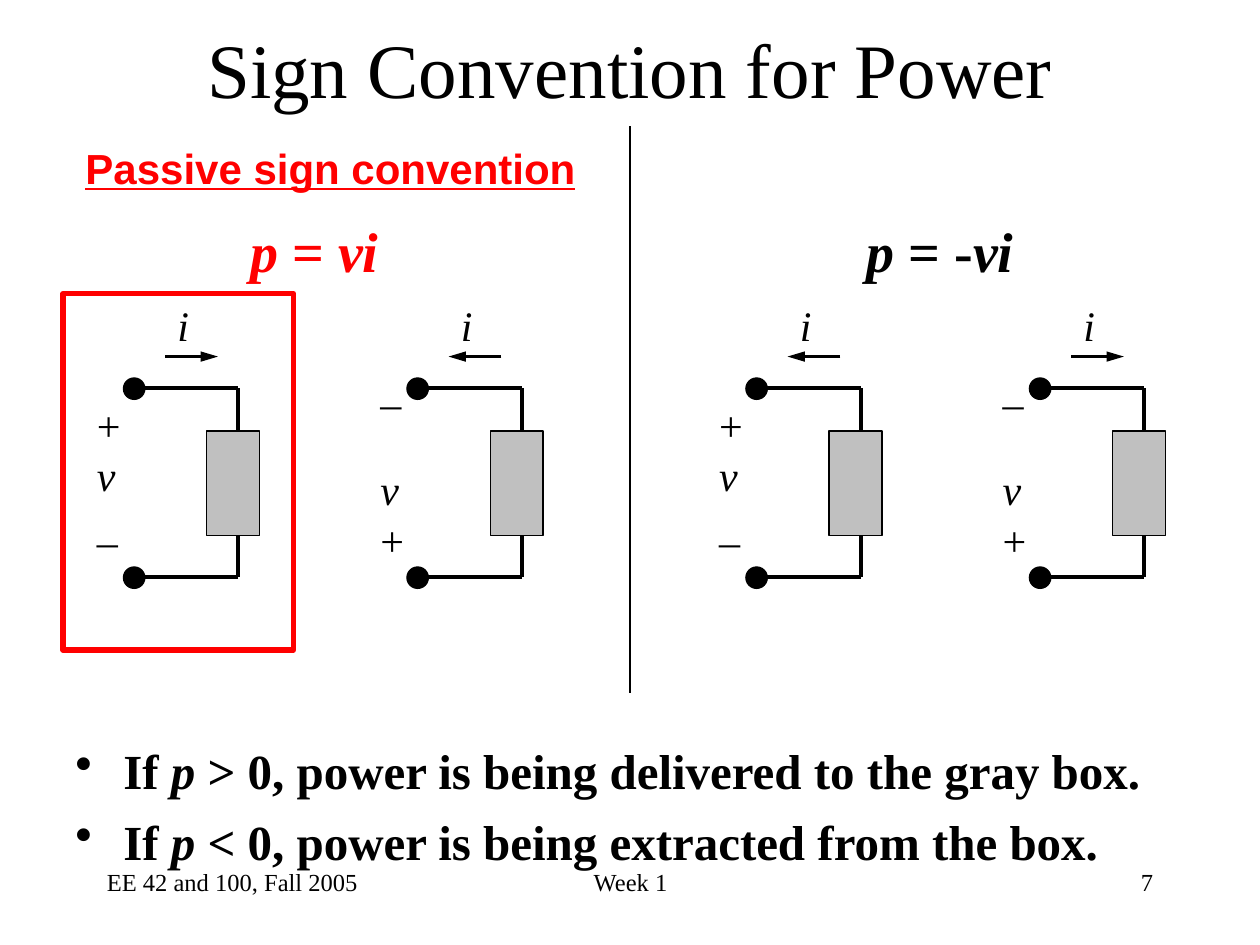
from dataclasses import dataclass

from lxml.etree import SubElement
from pptx import Presentation
from pptx.dml.color import RGBColor
from pptx.enum.shapes import MSO_CONNECTOR, MSO_SHAPE
from pptx.enum.text import MSO_ANCHOR, MSO_AUTO_SIZE, PP_ALIGN
from pptx.oxml.ns import qn
from pptx.util import Inches, Pt


@dataclass(frozen=True)
class Theme:
    black: RGBColor = RGBColor(0, 0, 0)
    red: RGBColor = RGBColor(255, 0, 0)
    gray: RGBColor = RGBColor(192, 192, 192)
    serif: str = "Times New Roman"
    sans: str = "Arial"
    title: int = 44
    formula: int = 32
    body: int = 28
    label: int = 24
    footer: int = 14
    thin: float = 0.75
    arrow: float = 1.5
    wire: float = 2.25
    frame: float = 3


@dataclass(frozen=True)
class Circuit:
    left: float
    plus_on_top: bool
    current_right: bool


@dataclass(frozen=True)
class Label:
    text: str
    area: tuple[float, float, float, float]
    size: int
    color: RGBColor
    font: str = Theme.serif
    bold: bool = False
    underline: bool = False
    align: PP_ALIGN = PP_ALIGN.LEFT
    wrap: bool = True


THEME = Theme()
CIRCUITS = [
    Circuit(1.06, True, True),
    Circuit(3.31, False, True ^ True),
    Circuit(6, True, False),
    Circuit(8.25, False, True),
]
LABELS = [
    Label("EE 42 and 100, Fall 2005", (0.75, 6.83, 2.33, 0.5), THEME.footer, THEME.black),
    Label("Week 1", (3.42, 6.83, 3.17, 0.5), THEME.footer, THEME.black, align=PP_ALIGN.CENTER),
    Label("7", (7.17, 6.83, 2.08, 0.5), THEME.footer, THEME.black, align=PP_ALIGN.RIGHT),
    Label("Passive sign convention", (0.58, 1.08, 4.09, 0.5), THEME.label, THEME.red,
          THEME.sans, bold=True, underline=True, wrap=False),
    Label("*p* = *vi*", (1.83, 1.67, 1.33, 0.64), THEME.formula, THEME.red,
          bold=True, align=PP_ALIGN.CENTER),
    Label("*p* = -*vi*", (6.67, 1.67, 1.58, 0.64), THEME.formula, THEME.black,
          bold=True, align=PP_ALIGN.CENTER),
    Label("If *p* > 0, power is being delivered to the gray box.\n"
          "If *p* < 0, power is being extracted from the box.",
          (0.5, 5.83, 9.25, 1.25), THEME.body, THEME.black, bold=True),
]


def add_label(page, label: Label):
    """Add a text box whose starred parts are italic and return its paragraphs."""
    frame = page.shapes.add_textbox(*map(Inches, label.area)).text_frame
    frame.word_wrap = label.wrap
    for index, line in enumerate(label.text.split("\n")):
        para = frame.add_paragraph() if index else frame.paragraphs[0]
        para.alignment = label.align
        font = para.font
        font.name, font.size, font.color.rgb = label.font, Pt(label.size), label.color
        font.bold, font.underline = label.bold, label.underline
        for part, words in enumerate(line.split("*")):
            if words:
                span = para.add_run()
                span.text = words
                span.font.italic = part % 2 == 1
    return frame.paragraphs


def add_bullets(paragraphs) -> None:
    """Give paragraphs hanging round bullets and a gap between them."""
    for index, para in enumerate(paragraphs):
        properties = para._p.get_or_add_pPr()
        properties.set("marL", str(Inches(0.38)))
        properties.set("indent", str(-Inches(0.38)))
        bullet = properties.makeelement(qn("a:buChar"), {"char": "•"})
        properties.insert_element_before(bullet, "a:tabLst", "a:defRPr", "a:extLst")
        if index:
            para.space_before = Pt(7)


def add_line(page, start: tuple[float, float], end: tuple[float, float],
             width: float, arrow: bool = False) -> None:
    """Draw a straight black line, with an arrowhead at its end if asked."""
    line = page.shapes.add_connector(MSO_CONNECTOR.STRAIGHT, *map(Inches, (*start, *end)))
    line.line.color.rgb, line.line.width = THEME.black, Pt(width)
    if arrow:
        SubElement(line.line._get_or_add_ln(), qn("a:tailEnd"), type="triangle", w="med", len="lg")
    SubElement(line._element.spPr, qn("a:effectLst"))


def add_box(page, kind: MSO_SHAPE, area: tuple[float, float, float, float],
            fill: RGBColor | None, color: RGBColor, width: float) -> None:
    """Draw an outlined preset shape, hollow when no fill is given."""
    box = page.shapes.add_shape(kind, *map(Inches, area))
    box.shadow.inherit = False
    if fill is None:
        box.fill.background()
    else:
        box.fill.solid()
        box.fill.fore_color.rgb = fill
    box.line.color.rgb, box.line.width = color, Pt(width)


def add_circuit(page, circuit: Circuit) -> None:
    """Draw a two-terminal element with its voltage and current labels."""
    left, rail = circuit.left, circuit.left + 0.83
    add_box(page, MSO_SHAPE.RECTANGLE, (left + 0.58, 3.42, 0.42, 0.83),
            THEME.gray, THEME.black, THEME.thin)
    for terminal, edge in ((3.08, 3.42), (4.58, 4.25)):
        add_line(page, (left, terminal), (rail, terminal), THEME.wire)
        add_line(page, (rail, terminal), (rail, edge), THEME.wire)
        add_box(page, MSO_SHAPE.OVAL, (left - 0.08, terminal - 0.08, 0.17, 0.17),
                THEME.black, THEME.black, THEME.thin)
    text, top, height = ("+\n*v*\n_", 3.12, 1.3) if circuit.plus_on_top else ("_\n*v*\n+", 2.83, 1.7)
    voltage = add_label(page, Label(text, (left - 0.39, top, 0.39, height),
                                    THEME.label, THEME.black, wrap=False))
    if not circuit.plus_on_top:
        voltage[1].space_before = Pt(29)
    start, end = (left + 0.25, 2.83), (left + 0.67, 2.83)
    if not circuit.current_right:
        start, end = end, start
    add_line(page, start, end, THEME.arrow, arrow=True)
    add_label(page, Label("*i*", (left + 0.25, 2.33, 0.29, 0.5),
                          THEME.label, THEME.black, wrap=False))


def add_title(page, text: str) -> None:
    """Place and format the title placeholder."""
    title = page.shapes.title
    title.left, title.top, title.width, title.height = map(Inches, (0.5, 0.25, 9, 0.58))
    frame = title.text_frame
    frame.text = text
    frame.auto_size, frame.vertical_anchor = MSO_AUTO_SIZE.NONE, MSO_ANCHOR.MIDDLE
    para = frame.paragraphs[0]
    para.alignment = PP_ALIGN.CENTER
    para.font.name, para.font.size = THEME.serif, Pt(THEME.title)
    para.font.color.rgb = THEME.black


def main() -> None:
    """Build and save the slide."""
    deck = Presentation()
    deck.slide_width, deck.slide_height = Inches(10), Inches(7.5)
    page = deck.slides.add_slide(deck.slide_layouts[5])
    add_title(page, "Sign Convention for Power")
    for label in LABELS:
        paragraphs = add_label(page, label)
        if label.size == THEME.body:
            add_bullets(paragraphs)
    for circuit in CIRCUITS:
        add_circuit(page, circuit)
    add_line(page, (5, 1), (5, 5.5), THEME.thin)
    add_box(page, MSO_SHAPE.RECTANGLE, (0.5, 2.33, 1.83, 2.83), None, THEME.red, THEME.frame)
    deck.save("out.pptx")


if __name__ == "__main__":
    main()
